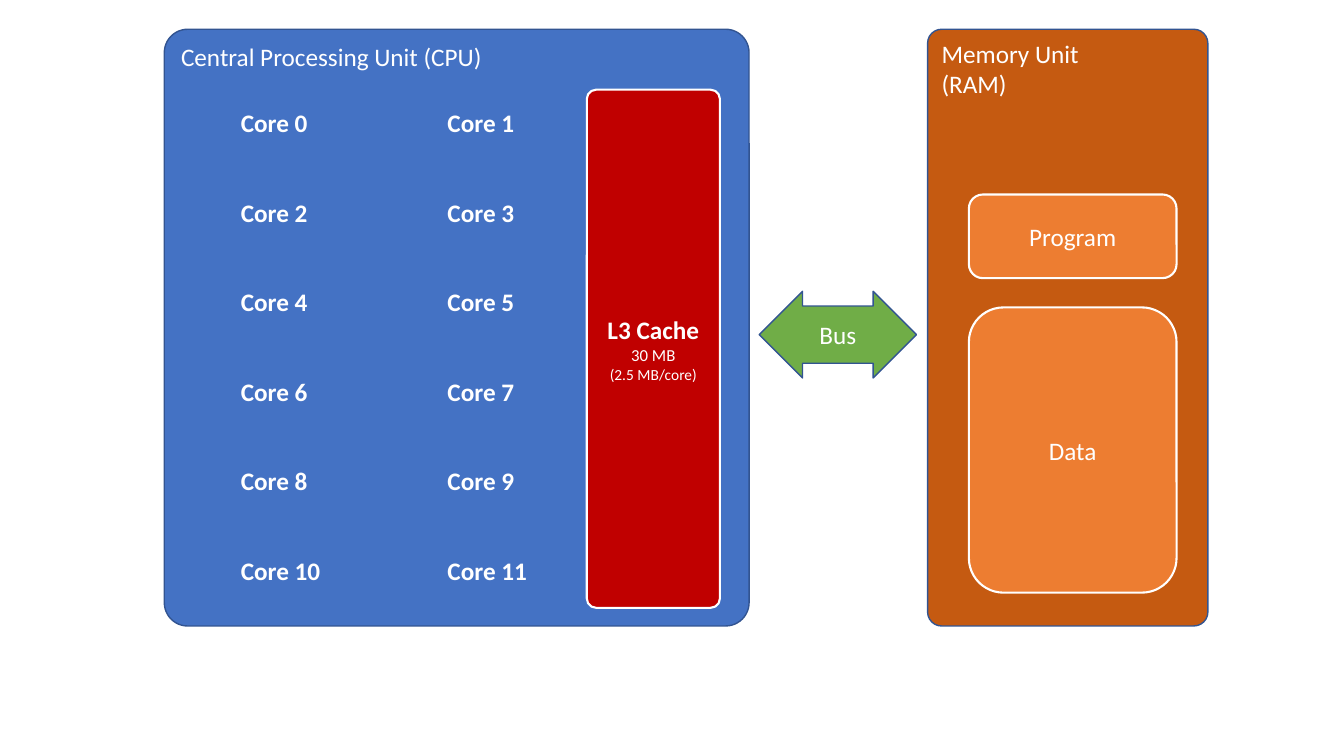
"""Build a slide of a twelve-core CPU joined by a bus to its memory unit."""
import copy
import itertools

import pptx
import pptx.dml.color
import pptx.enum.shapes
import pptx.enum.text
import pptx.util

RGBColor = pptx.dml.color.RGBColor
SHAPE = pptx.enum.shapes.MSO_SHAPE
ANCHOR = pptx.enum.text.MSO_ANCHOR
ALIGN = pptx.enum.text.PP_ALIGN

WHITE = RGBColor(0xFF, 0xFF, 0xFF)
OUTLINE = RGBColor(0x32, 0x54, 0x91)
CPU_BLUE = RGBColor(0x44, 0x72, 0xC4)
CACHE_RED = RGBColor(0xC0, 0x00, 0x00)
RAM_BROWN = RGBColor(0xC5, 0x5A, 0x11)
RAM_ORANGE = RGBColor(0xED, 0x7D, 0x31)
BUS_GREEN = RGBColor(0x70, 0xAD, 0x47)

SLIDE_WIDTH, SLIDE_HEIGHT = 13.33, 7.5
CELL = 0.1
UNIT_TOP, UNIT_ROWS = 2.9, 59.2
RAM_LEFT, RAM_COLUMNS = 96.1, 20.6
CORE_COLUMNS = (22.9, 43.4)
CORE_TOP, CORE_PITCH, CORE_ROWS = 10.2, 8.88, 6

CORNER = {"anchor": ANCHOR.TOP, "align": ALIGN.LEFT}
CENTRE = {"anchor": ANCHOR.MIDDLE, "align": ALIGN.CENTER}


def cells(*counts):
    """Turn counts of grid columns or rows into lengths."""
    return [pptx.util.Inches(count * CELL) for count in counts]


def add_run(paragraph, text, size=18, bold=False):
    """Add white Calibri text, breaking the line after it if it ends so."""
    run = paragraph.add_run()
    run.text = text.rstrip("\n")
    style = {"name": "Calibri", "size": pptx.util.Pt(size), "bold": bold}
    for attribute, value in style.items():
        setattr(run.font, attribute, value)
    run.font.color.rgb = WHITE
    if text.endswith("\n"):
        paragraph.add_line_break()
        paragraph._p[-1].append(copy.deepcopy(run._r.rPr))


def write(frame, paragraphs, anchor, align):
    """Fill a text frame with paragraphs made of runs."""
    frame.vertical_anchor = anchor
    for index, runs in enumerate(paragraphs):
        paragraph = frame.add_paragraph() if index else frame.paragraphs[0]
        paragraph.alignment = align
        for run in runs:
            add_run(paragraph, *run)


def add_block(slide, kind, place, fill, outline, weight, paragraphs, layout, adjust=()):
    """Add a filled, outlined and labelled shape on the grid."""
    block = slide.shapes.add_shape(kind, *cells(*place))
    block.shadow.inherit = False
    block.fill.solid()
    block.fill.fore_color.rgb = fill
    block.line.color.rgb = outline
    block.line.width = pptx.util.Pt(weight)
    for index, value in enumerate(adjust):
        block.adjustments[index] = value
    write(block.text_frame, paragraphs, **layout)


def add_core(slide, column, row):
    """Label one core, numbered across and then down."""
    number = row * len(CORE_COLUMNS) + column
    place = (CORE_COLUMNS[column], CORE_TOP + row * CORE_PITCH, 8.7 if number < 10 else 10, 4)
    frame = slide.shapes.add_textbox(*cells(*place)).text_frame
    frame.word_wrap = False
    frame.auto_size = pptx.enum.text.MSO_AUTO_SIZE.SHAPE_TO_FIT_TEXT
    write(frame, [[(f"Core {number}", 18, True)]], **CORNER)


def main():
    """Draw the units, the bus, the parts inside them and the cores."""
    deck = pptx.Presentation()
    deck.slide_width = pptx.util.Inches(SLIDE_WIDTH)
    deck.slide_height = pptx.util.Inches(SLIDE_HEIGHT)
    slide = deck.slides.add_slide(deck.slide_layouts[6])
    rounded = SHAPE.ROUNDED_RECTANGLE

    add_block(slide, rounded, (16.3, UNIT_TOP, 58, UNIT_ROWS), CPU_BLUE, OUTLINE, 1,
              [[("Central Processing Unit (CPU)",)]], CORNER, (0.04,))
    add_block(slide, rounded, (92, UNIT_TOP, 27.8, UNIT_ROWS), RAM_BROWN, OUTLINE, 1,
              [[("Memory Unit\n",), ("(RAM)",)]], CORNER, (0.05,))
    add_block(slide, SHAPE.LEFT_RIGHT_ARROW, (75.3, 28.9, 15.6, 8.6), BUS_GREEN, OUTLINE, 1,
              [[("Bus",)]], CENTRE, (0.66, 0.5))
    for label, top, rows in (("Program", 19.3, 8.3), ("Data", 30.5, 28.3)):
        add_block(slide, rounded, (RAM_LEFT, top, RAM_COLUMNS, rows), RAM_ORANGE, WHITE, 1.5,
                  [[(label,)]], CENTRE)
    cache = [[("L3 Cache", 18, True)], [("30 MB\n", 12), ("(2.5 MB/core)", 11)]]
    add_block(slide, rounded, (58.2, 8.9, 13.2, 51.4), CACHE_RED, WHITE, 1.5,
              cache, CENTRE, (0.07,))
    for column, row in itertools.product(range(len(CORE_COLUMNS)), range(CORE_ROWS)):
        add_core(slide, column, row)
    deck.save("out.pptx")


if __name__ == "__main__":
    main()
